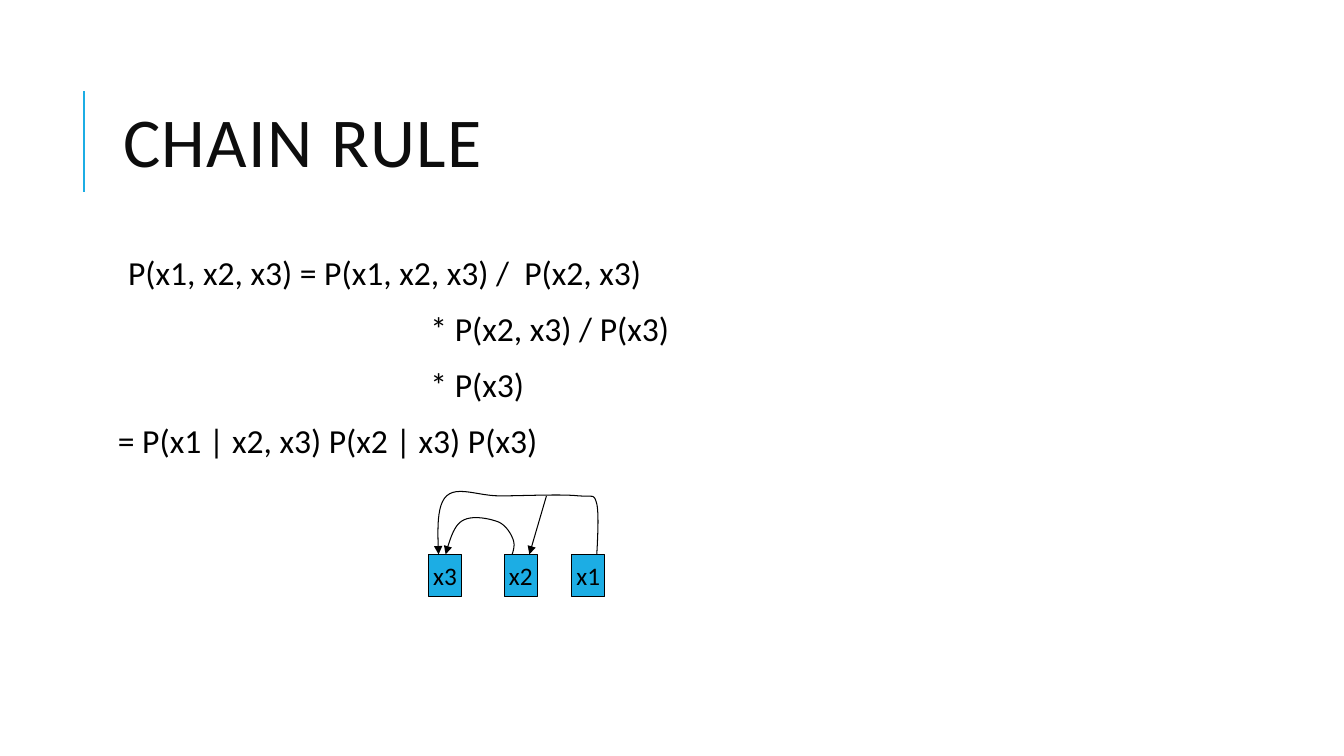
from lxml.etree import SubElement
from pptx import Presentation
from pptx.dml.color import RGBColor
from pptx.enum.shapes import MSO_CONNECTOR, MSO_SHAPE
from pptx.enum.text import MSO_ANCHOR, MSO_AUTO_SIZE, PP_ALIGN
from pptx.oxml.ns import qn
from pptx.util import Inches, Pt

BLUE, BLACK, INK = "1CADE4", "000000", "0D0D0D"
STEPS = 12  # straight pieces per curve

# Formula lines with their left indents
LINES = [
    (0.1, "P(x1, x2, x3) = P(x1, x2, x3) /  P(x2, x3)"),
    (3.1, "* P(x2, x3) / P(x3)"),
    (3.1, "* P(x3)"),
    (0, "= P(x1 | x2, x3) P(x2 | x3) P(x3)"),
]

# Node offsets and cubic curves, relative to the graph box
NODES = [(0, "x3"), (0.75, "x2"), (1.42, "x1")]
CURVES = [
    [(1.67, 0.7), (1.68, 0.5), (1.69, 0.3), (1.67, 0.2),
     (1.64, 0.1), (1.65, 0.13), (1.49, 0.12),
     (1.33, 0.1), (0.93, 0.12), (0.71, 0.12),
     (0.49, 0.12), (0.29, 0.02), (0.18, 0.12),
     (0.08, 0.21), (0.09, 0.46), (0.1, 0.7)],
    [(0.83, 0.7), (0.85, 0.64), (0.86, 0.59), (0.83, 0.53),
     (0.81, 0.48), (0.75, 0.39), (0.67, 0.37),
     (0.58, 0.34), (0.42, 0.31), (0.33, 0.37),
     (0.25, 0.42), (0.21, 0.56), (0.17, 0.7)],
]


def paint(form, color):
    if hasattr(form, "solid"):
        form.solid()
        form = form.fore_color
    form.rgb = RGBColor.from_string(color)


def style(obj, **values):
    for name, value in values.items():
        setattr(obj, name, value)


def write(para, text, size, color):
    run = para.add_run()
    run.text = text
    style(run.font, name="Calibri", size=Pt(size))
    paint(run.font.color, color)
    return run


def stroke(shape, color, width, head=False):
    paint(shape.line.color, color)
    shape.line.width = Pt(width)
    if head:
        SubElement(shape.line._get_or_add_ln(), qn("a:tailEnd"), type="triangle")


def link(slide, x1, y1, x2, y2):
    line = slide.shapes.add_connector(
        MSO_CONNECTOR.STRAIGHT, *map(Inches, (x1, y1, x2, y2)))
    SubElement(line._element.spPr, qn("a:effectLst"))
    return line


def trace(nodes):
    """Points along a chain of cubic curves."""
    points = [nodes[0]]
    for i in range(0, len(nodes) - 1, 3):
        a, b, c, d = nodes[i:i + 4]
        for step in range(1, STEPS + 1):
            t = step / STEPS
            u = 1 - t
            points.append(tuple(
                u**3 * a[k] + 3 * u * u * t * b[k] + 3 * u * t * t * c[k] + t**3 * d[k]
                for k in (0, 1)))
    return points


def add_title(slide, left, top, width, height):
    # Accent rule beside the title
    rule = link(slide, left - 0.29, top + 1.26, left - 0.29, top + 0.26)
    stroke(rule, BLUE, 1.5)
    title = slide.shapes.title
    style(title, left=Inches(left), top=Inches(top),
          width=Inches(width), height=Inches(height))
    style(title.text_frame, vertical_anchor=MSO_ANCHOR.MIDDLE,
          auto_size=MSO_AUTO_SIZE.NONE, word_wrap=True)
    para = title.text_frame.paragraphs[0]
    style(para, alignment=PP_ALIGN.LEFT, line_spacing=0.8)
    run = write(para, "CHAIN RULE", 50, INK)
    run._r.get_or_add_rPr().set("spc", "100")


def add_proof(slide, left, top, width, height):
    frame = slide.shapes.add_textbox(
        *map(Inches, (left, top, width, height))).text_frame
    pad = Inches(0.05)
    style(frame, word_wrap=True, margin_left=pad, margin_right=pad,
          margin_top=pad, margin_bottom=pad)
    for i, (indent, text) in enumerate(LINES):
        para = frame.add_paragraph() if i else frame.paragraphs[0]
        style(para, line_spacing=0.9, space_before=Pt(12), space_after=Pt(2))
        para._p.get_or_add_pPr().set("marL", str(Inches(indent)))
        write(para, text, 24, BLACK)


def add_graph(slide, left, top):
    # Variable boxes
    for x, name in NODES:
        node = slide.shapes.add_shape(
            MSO_SHAPE.RECTANGLE,
            *map(Inches, (left + x, top + 0.7, 0.33, 0.42)))
        node.shadow.inherit = False
        paint(node.fill, BLUE)
        stroke(node, BLACK, 0.75)
        style(node.text_frame, word_wrap=False, vertical_anchor=MSO_ANCHOR.MIDDLE)
        para = node.text_frame.paragraphs[0]
        para.alignment = PP_ALIGN.CENTER
        write(para, name, 18, BLACK)
    # Curved arrows
    for nodes in CURVES:
        points = [(Inches(left + x), Inches(top + y)) for x, y in trace(nodes)]
        form = slide.shapes.build_freeform(*points[0])
        form.add_line_segments(points[1:], close=False)
        curve = form.convert_to_shape()
        curve.shadow.inherit = False
        curve.fill.background()
        stroke(curve, BLACK, 0.75, head=True)
    # Branch down to x2
    branch = link(slide, left + 1.17, top + 0.12, left + 1, top + 0.7)
    stroke(branch, BLACK, 0.75, head=True)


def main():
    deck = Presentation()
    style(deck, slide_width=Inches(13.33), slide_height=Inches(7.5))
    slide = deck.slides.add_slide(deck.slide_layouts[5])
    paint(slide.background.fill, "FFFFFF")
    add_title(slide, 1.12, 0.64, 10.63, 1.64)
    add_proof(slide, 1.12, 2.5, 10.63, 4.4)
    add_graph(slide, 4.25, 4.8)
    deck.save("out.pptx")


if __name__ == "__main__":
    main()
